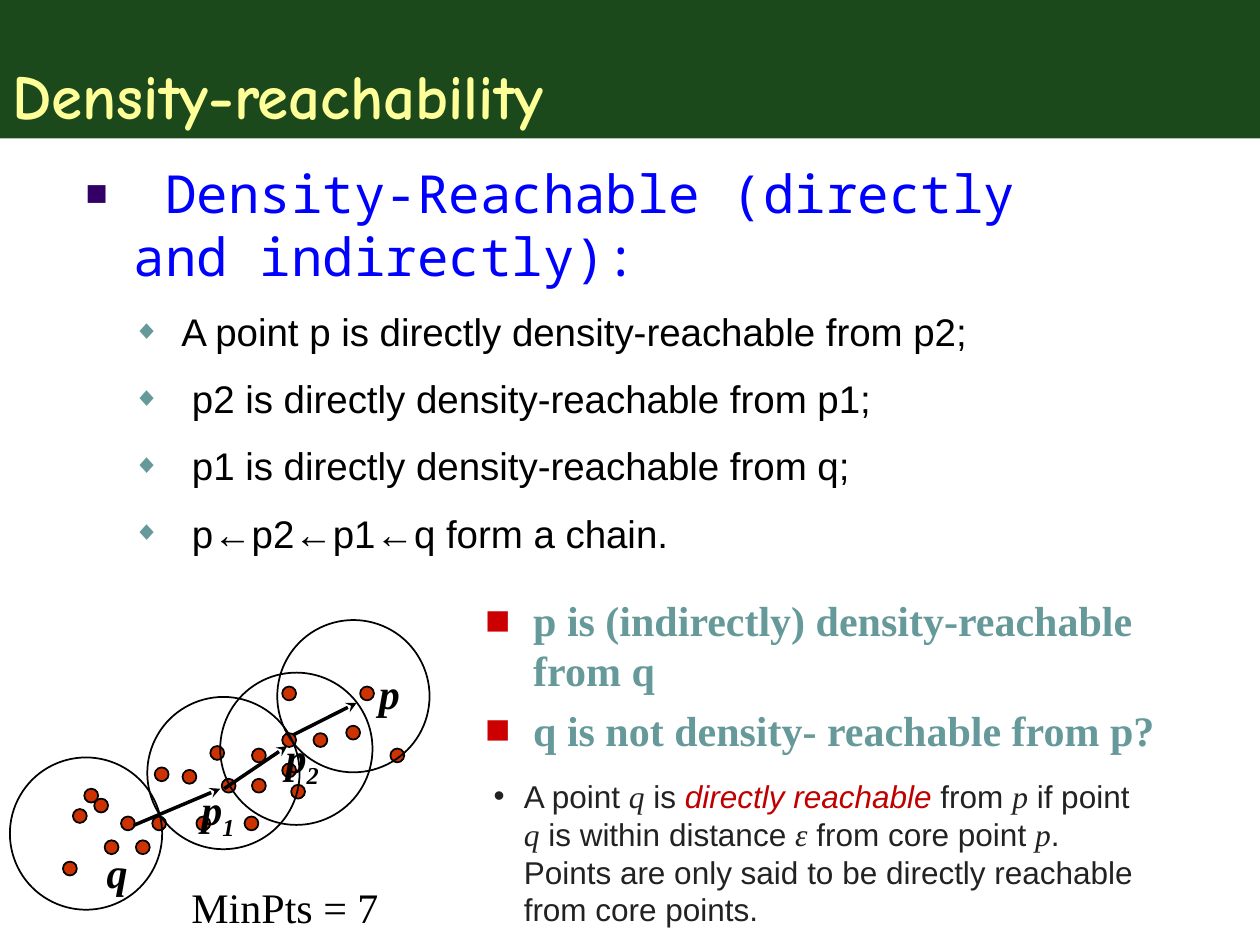
from dataclasses import dataclass

from lxml.etree import SubElement
from pptx import Presentation
from pptx.dml.color import RGBColor
from pptx.enum.shapes import MSO_CONNECTOR, MSO_SHAPE
from pptx.enum.text import MSO_ANCHOR, MSO_AUTO_SIZE, PP_ALIGN
from pptx.oxml.ns import qn
from pptx.util import Cm, Pt


@dataclass(frozen=True)
class Theme:
    # Colours
    band: str = "003300"
    cream: str = "FFFF99"
    blue: str = "0000FF"
    teal: str = "669999"
    violet: str = "330066"
    red: str = "CC0000"
    crimson: str = "C00000"
    rust: str = "CC3300"
    black: str = "000000"
    grey: str = "222222"
    # Type sizes
    title: int = 36
    head: int = 30
    label: int = 24
    point: int = 22
    note: int = 18
    # Fonts
    comic: str = "Comic Neue"
    mono: str = "Noto Sans Mono"
    sans: str = "Arial"
    serif: str = "Times New Roman"


class Board:
    def __init__(self, slide, theme):
        self.slide, self.theme = slide, theme
        self.shapes = slide.shapes

    def place(self, shape, left, top, width, height):
        shape.left, shape.top = Cm(left), Cm(top)
        shape.width, shape.height = Cm(width), Cm(height)

    def frame(self, shape, anchor=MSO_ANCHOR.TOP):
        frame = shape.text_frame
        frame.word_wrap = True
        frame.auto_size = MSO_AUTO_SIZE.NONE
        frame.vertical_anchor = anchor
        return frame

    def box(self, *area):
        return self.frame(self.shapes.add_textbox(*map(Cm, area)))

    def run(self, para, text, size, face, hue, bold=False, slant=False, base=0):
        run = para.add_run()
        run.text = text
        font = run.font
        font.size, font.name = Pt(size), face
        font.bold, font.italic = bold, slant
        font.color.rgb = RGBColor.from_string(hue)
        if base:
            font._element.set("baseline", str(base * 1000))

    def para(self, frame, gap=0):
        first = not frame.paragraphs[0].runs
        para = frame.paragraphs[0] if first else frame.add_paragraph()
        para.alignment = PP_ALIGN.LEFT
        para.space_before = Pt(0 if first else gap)
        return para

    def bullet(self, para, mark, hue, left, hang, scale=100):
        props = para._p.get_or_add_pPr()
        props.set("marL", str(Cm(left)))
        props.set("indent", str(-Cm(hang)))
        tint = SubElement(props, qn("a:buClr"))
        SubElement(tint, qn("a:srgbClr"), val=hue)
        SubElement(props, qn("a:buSzPct"), val=str(scale * 1000))
        SubElement(props, qn("a:buFont"), typeface=self.theme.sans)
        SubElement(props, qn("a:buChar"), char=mark)

    def ring(self, left, top, size, fill=None):
        ring = self.shapes.add_shape(
            MSO_SHAPE.OVAL, Cm(left), Cm(top), Cm(size), Cm(size))
        ring.shadow.inherit = False
        if fill:
            ring.fill.solid()
            ring.fill.fore_color.rgb = RGBColor.from_string(fill)
        else:
            ring.fill.background()
        ring.line.color.rgb = RGBColor.from_string(self.theme.black)
        ring.line.width = Pt(1)

    def arrow(self, *ends):
        arrow = self.shapes.add_connector(MSO_CONNECTOR.STRAIGHT, *map(Cm, ends))
        arrow.line.color.rgb = RGBColor.from_string(self.theme.black)
        arrow.line.width = Pt(2)
        SubElement(arrow.line._get_or_add_ln(), qn("a:tailEnd"), type="stealth")
        SubElement(arrow._element.spPr, qn("a:effectLst"))

    def label(self, left, top, width, name, sub=""):
        t = self.theme
        para = self.para(self.box(left, top, width, 1.27))
        self.run(para, name, t.label, t.serif, t.black, True, True)
        if sub:
            self.run(para, sub, t.label, t.serif, t.black, True, True, -25)

    def title(self, text):
        t, shape = self.theme, self.shapes.title
        self.place(shape, 0, 0, 25.4, 2.79)
        shape.fill.solid()
        shape.fill.fore_color.rgb = RGBColor.from_string(t.band)
        tint = shape._element.spPr.find(".//" + qn("a:srgbClr"))
        SubElement(tint, qn("a:alpha"), val="89000")
        para = self.para(self.frame(shape, MSO_ANCHOR.BOTTOM))
        self.run(para, text, t.title, t.comic, t.cream, True)

    def body(self, head, points):
        t, shape = self.theme, self.slide.placeholders[1]
        self.place(shape, 1.47, 3.12, 21.59, 11.43)
        frame = self.frame(shape)
        para = self.para(frame)
        self.bullet(para, "■", t.violet, 0.97, 0.97, 70)
        self.run(para, head, t.head, t.mono, t.blue)
        for text in points:
            para = self.para(frame, 12)
            para.level = 1
            self.bullet(para, "◆", t.teal, 1.93, 0.97, 70)
            self.run(para, text, t.point, t.sans, t.black)


DOTS = [
    (2.74, 16.94), (5.69, 14.78), (5.69, 13.84), (4.47, 15.7), (5.08, 15.09),
    (5.08, 15.7), (1.47, 16.31), (6.98, 14.63), (7.87, 15.09), (7.26, 13.84),
    (5.69, 15.39), (6.32, 14.78), (1.9, 16.1), (2.11, 16.94), (1.27, 17.37),
    (3.68, 15.52), (2.44, 16.46), (3.12, 15.47), (3.07, 16.46), (1.7, 15.9),
    (5.87, 15.82), (3.96, 16.46), (4.24, 15.04), (4.93, 16.46),
]
RINGS = [(4.44, 13.56), (2.97, 14.05), (5.59, 12.5), (0.2, 15.27)]
LABELS = [
    (7.39, 13.34, 1.07, "p"), (1.9, 16.94, 1.07, "q"),
    (5.51, 14.63, 1.7, "p", "2"), (3.81, 15.67, 1.7, "p", "1"),
]
ARROWS = [
    (5.92, 14.81, 7.19, 14.17), (4.52, 15.9, 5.79, 15.04),
    (2.69, 16.64, 4.44, 15.9),
]


def main():
    deck = Presentation()
    deck.slide_width, deck.slide_height = Cm(25.4), Cm(19.05)
    t = Theme()
    board = Board(deck.slides.add_slide(deck.slide_layouts[1]), t)

    # Title and main list
    board.title("Density-reachability")
    board.body(" Density-Reachable (directly and indirectly):", [
        "A point p is directly density-reachable from p2;",
        " p2 is directly density-reachable from p1;",
        " p1 is directly density-reachable from q;",
        " p←p2←p1←q form a chain.",
    ])

    # Point cloud with its chain
    for spot in DOTS:
        board.ring(*spot, 0.28, t.rust)
    for spot in RINGS:
        board.ring(*spot, 3.07)
    for item in LABELS:
        board.label(*item)
    for ends in ARROWS:
        board.arrow(*ends)
    para = board.para(board.box(3.61, 17.65, 8.05, 1.27))
    board.run(para, "MinPts = 7", t.label, t.serif, t.black)

    # Findings
    frame = board.box(9.53, 11.86, 14.4, 5.28)
    for text in ("p is (indirectly) density-reachable from q",
                 "q is not density- reachable from p?"):
        para = board.para(frame, 5)
        board.bullet(para, "■", t.red, 0.97, 0.97)
        board.run(para, text, t.label, t.serif, t.teal, True)

    # Definition: plain words, variables in serif italics, one key term
    para = board.para(board.box(9.7, 15.54, 13.79, 3.33))
    board.bullet(para, "•", t.grey, 0.61, 0.61)
    plain, var = (t.sans, t.grey), (t.serif, t.grey, False, True)
    term = (t.sans, t.crimson, False, True)
    for text, look in [
        ("A point ", plain), ("q", var), (" is ", plain),
        ("directly reachable", term), (" from ", plain), ("p", var),
        (" if point ", plain), ("q", var), (" is within distance ", plain),
        ("ε", var), (" from core point ", plain), ("p", var),
        (". Points are only said to be directly reachable from core points.",
         plain),
    ]:
        board.run(para, text, t.note, *look)

    deck.save("out.pptx")


if __name__ == "__main__":
    main()
